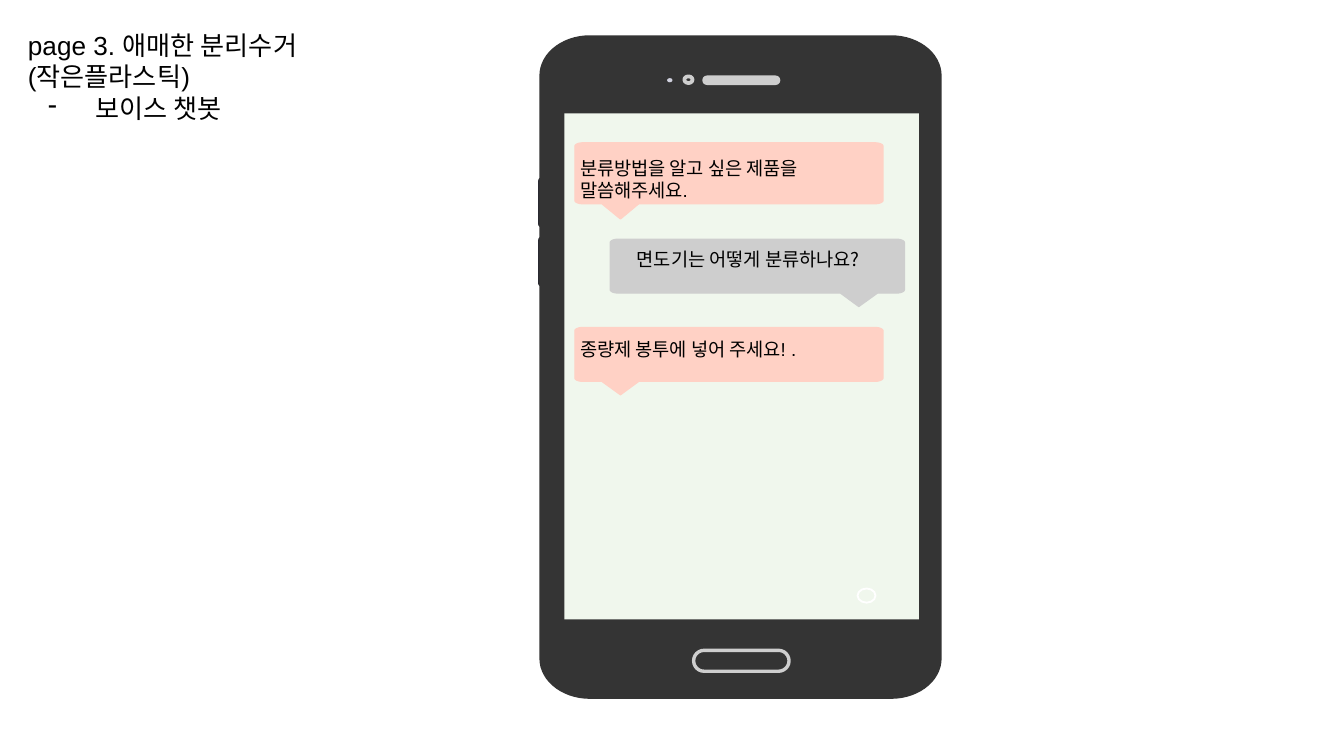
from math import cos, radians, sin

from lxml import etree
from pptx import Presentation
from pptx.dml.color import RGBColor
from pptx.enum import shapes as sh
from pptx.oxml.ns import qn
from pptx.util import Pt

DARK, SIDE, GREY, LENS = "343434", "292930", "CECECE", "D0D1DE"
MINT, PINK, WHITE, BLACK = "F0F7ED", "FFD1C5", "FFFFFF", "000000"
OVAL, RECT = sh.MSO_SHAPE.OVAL, sh.MSO_SHAPE.RECTANGLE
ROUND = sh.MSO_SHAPE.ROUNDED_RECTANGLE


def color(code):
    return RGBColor.from_string(code)


def paint(shape, fill=None, line=None, width=0.75):
    shape.shadow.inherit = False
    if fill:
        shape.fill.solid()
        shape.fill.fore_color.rgb = color(fill)
    else:
        shape.fill.background()
    if line:
        shape.line.color.rgb = color(line)
        shape.line.width = Pt(width)
    else:
        shape.line.fill.background()
    return shape


def preset(slide, kind, box, turn=None, **look):
    shape = slide.shapes.add_shape(kind, *map(Pt, box))
    if turn is not None:
        shape.adjustments[0] = turn
    return paint(shape, **look)


def outline(slide, box, rx, ry, tail=(), **look):
    """Rounded box with elliptical corners and an optional bottom tail."""
    x, y, w, h = box
    turns = [(x + rx, y + ry, 180), (x + w - rx, y + ry, 270),
             (x + w - rx, y + h - ry, 0), (x + rx, y + h - ry, 90)]
    dots = []
    for i, (cx, cy, start) in enumerate(turns):
        if i == 3:
            dots += tail
        for step in range(0, 91, 6):
            a = radians(start + step)
            dots.append((Pt(cx + rx * cos(a)), Pt(cy + ry * sin(a))))
    path = slide.shapes.build_freeform(*dots[0])
    path.add_line_segments(dots[1:], close=True)
    return paint(path.convert_to_shape(), **look)


def write(slide, box, lines, size=10, font="Arial", ink=BLACK):
    """Lines that start with a dash become dash bullets."""
    frame = slide.shapes.add_textbox(*map(Pt, box)).text_frame
    frame.word_wrap = True
    frame.margin_left = frame.margin_right = Pt(7.2)
    frame.margin_top = frame.margin_bottom = Pt(7.2)
    for i, line in enumerate(lines):
        par = frame.add_paragraph() if i else frame.paragraphs[0]
        if line.startswith("-"):
            prop = par._p.get_or_add_pPr()
            prop.set("marL", str(Pt(36)))
            prop.set("indent", str(Pt(-25.2)))
            etree.SubElement(prop, qn("a:buChar")).set("char", "-")
        run = par.add_run()
        run.text = line.lstrip("-")
        run.font.size, run.font.name = Pt(size), font
        run.font.color.rgb = color(ink)


def phone(slide, box):
    x, y, w, h = box
    # Side buttons, then the body over them
    for top in (76.3, 108):
        preset(slide, ROUND, (x - 0.7, y + top, 4, 26.6), 0.4, fill=SIDE)
    outline(slide, box, 27, 21.6, fill=DARK)
    # Sensor, camera and speaker
    preset(slide, OVAL, (x + 68.4, y + 23, 2.9, 2.2), fill=LENS)
    preset(slide, OVAL, (x + 77.6, y + 22, 4.4, 3.6), line=GREY, width=2)
    preset(slide, ROUND, (x + 88, y + 22.3, 40.3, 3.6), 0.5,
           fill=GREY, line=GREY, width=1.5)
    # Home button
    preset(slide, ROUND, (x + 82.6, y + 329.5, 51.1, 11.2), 0.5,
           line=GREY, width=1.8)
    # Screen and its record ring
    preset(slide, RECT, (x + 13.3, y + 41.8, 190, 271.2), fill=MINT)
    preset(slide, OVAL, (x + 170.4, y + 296.4, 9.6, 7.6),
           line=WHITE, width=1)


def bubble(slide, box, words, fill, mine=False, inset=-4.3, lift=0, font="Arial"):
    """Speech bubble; the tail takes the lowest fifth of the box."""
    x, y, w, h = box
    base = h * 0.8
    spots = [(34.2, base), (24.4, h), (14.4, base)]
    if mine:
        spots = [(w - dx, dy) for dx, dy in reversed(spots)]
    tail = [(Pt(x + dx), Pt(y + dy)) for dx, dy in spots]
    outline(slide, (x, y, w, base), 4.3, 1.8, tail, fill=fill, line=fill)
    wide = 142.6 if mine else 172.8
    write(slide, (x + inset, y - lift, wide, 26.6), [words], font=font)


def main():
    deck = Presentation()
    deck.slide_width, deck.slide_height = Pt(720), Pt(405)
    slide = deck.slides.add_slide(deck.slide_layouts[6])

    # Page title
    write(slide, (7.9, 8.6, 241.9, 48.2),
          ["page 3. 애매한 분리수거 (작은플라스틱)", "-보이스 챗봇"], size=14)

    phone(slide, (289, 18.9, 215.5, 355.5))

    # Chat
    bubble(slide, (308, 76.6, 165, 40.7), "분류방법을 알고 싶은 제품을 말씀해주세요.", PINK)
    bubble(slide, (327, 128.2, 157.5, 36), "면도기는 어떻게 분류하나요?", GREY,
           mine=True, inset=7.1, lift=1.5, font="Noto Sans CJK KR")
    bubble(slide, (308, 175.5, 165, 36), "종량제 봉투에 넣어 주세요! .", PINK, lift=0.5)

    deck.save("out.pptx")


if __name__ == "__main__":
    main()
